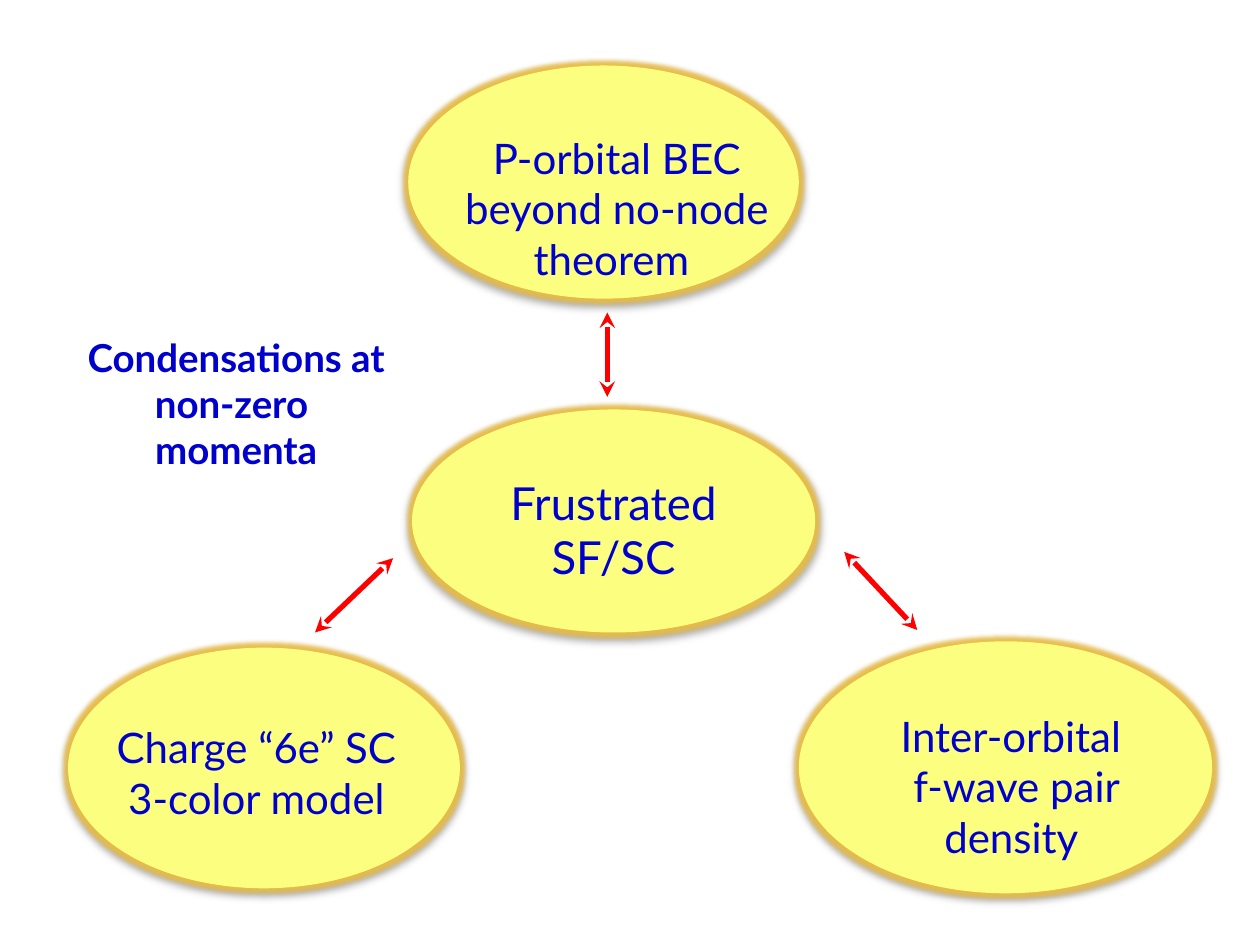
from lxml.etree import SubElement
from pptx import Presentation
from pptx.dml.color import RGBColor
from pptx.enum.shapes import MSO_CONNECTOR as Link, MSO_SHAPE as Shape
from pptx.enum.text import MSO_AUTO_SIZE as Fit, PP_ALIGN as Align
from pptx.oxml import parse_xml
from pptx.oxml.ns import nsdecls, qn
from pptx.util import Inches, Pt

YELLOW = RGBColor(0xFB, 0xFE, 0x7E)
BLUE = RGBColor(0x00, 0x00, 0xCC)
RED = RGBColor(0xFF, 0x00, 0x00)

# Gold rim and soft shadow below each ellipse
GLOW = f"""<a:effectLst {nsdecls("a")}>
  <a:glow rad="{Pt(5)}"><a:srgbClr val="EABC40"><a:alpha val="90000"/></a:srgbClr></a:glow>
  <a:outerShdw blurRad="{Pt(3.5)}" dist="{Pt(2.2)}" dir="5400000" rotWithShape="0">
    <a:srgbClr val="000000"><a:alpha val="32000"/></a:srgbClr></a:outerShdw>
</a:effectLst>"""

# Grid of 100 columns by 75 rows
COLS, ROWS = 100, 75
deck = Presentation()
deck.slide_width, deck.slide_height = Inches(10), Inches(7.5)
slide = deck.slides.add_slide(deck.slide_layouts[6])
shapes = slide.shapes


def grid(*cells):
    """Turn column, row, column, row ... into slide lengths."""
    steps = (deck.slide_width / COLS, deck.slide_height / ROWS)
    return [round(cell * steps[i % 2]) for i, cell in enumerate(cells)]


# Ellipses: centre topic and three branches
ovals = [
    (5.4, 51.4, 31.1, 19.1),
    (63.4, 50.9, 32.8, 20),
    (32.4, 5.2, 31, 18.5),
    (32.7, 32.5, 32, 17.7),
]
for box in ovals:
    oval = shapes.add_shape(Shape.OVAL, *grid(*box))
    oval.fill.solid()
    oval.fill.fore_color.rgb = YELLOW
    oval.line.fill.background()
    oval._element.spPr.append(parse_xml(GLOW))

# Labels: box, size, bold, lines
labels = [
    ((66.3, 55.9, 28.7, 13.1), 24, False, ["Inter-orbital ", "f-wave pair density "]),
    ((35, 37.2, 27.4, 9.8), 26, False, ["Frustrated SF/SC"]),
    ((35.5, 10, 26.9, 13.1), 24, False, ["P-orbital BEC", "beyond no-node theorem "]),
    ((6.3, 56.8, 28.1, 9.1), 24, False, ["Charge “6e” SC", "3-color model"]),
    ((4.6, 26, 28.3, 12.1), 22, True, ["Condensations at non-zero ", "momenta"]),
]
for box, size, bold, lines in labels:
    frame = shapes.add_textbox(*grid(*box)).text_frame
    frame.word_wrap = True
    frame.auto_size = Fit.SHAPE_TO_FIT_TEXT
    frame.text = "\n".join(lines)
    for para in frame.paragraphs:
        para.alignment = Align.CENTER
        font = para.runs[0].font
        font.name, font.size, font.bold = "Lato", Pt(size), bold
        font.color.rgb = BLUE

# Double arrows from the centre to the branches
arrows = [
    (48.2, 31.5, 48.2, 24.8),
    (25, 50.2, 31.2, 44.3),
    (72.8, 50, 67, 43.8),
]
for ends in arrows:
    arrow = shapes.add_connector(Link.STRAIGHT, *grid(*ends))
    arrow.line.color.rgb = RED
    arrow.line.width = Pt(3)
    stroke = arrow.line._get_or_add_ln()
    for end in ("a:headEnd", "a:tailEnd"):
        SubElement(stroke, qn(end), type="stealth")
    SubElement(arrow._element.spPr, qn("a:effectLst"))

deck.save("out.pptx")
